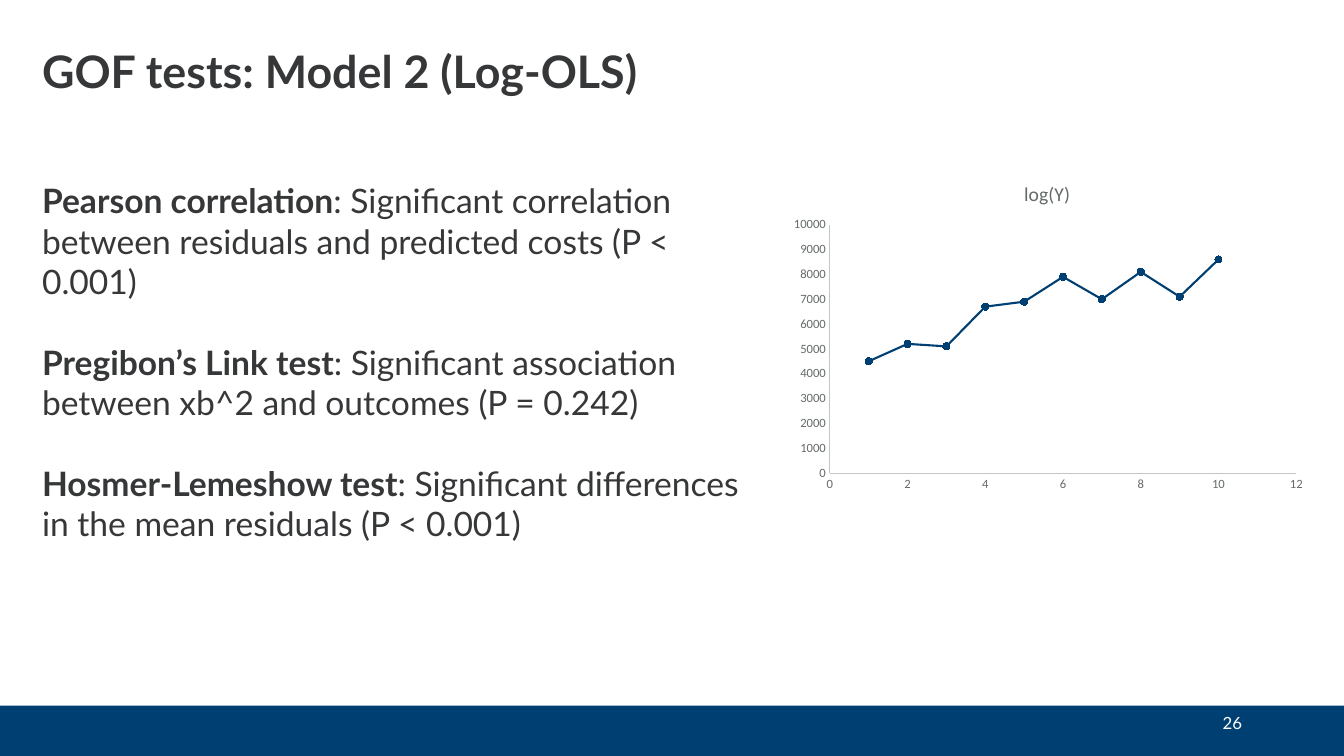
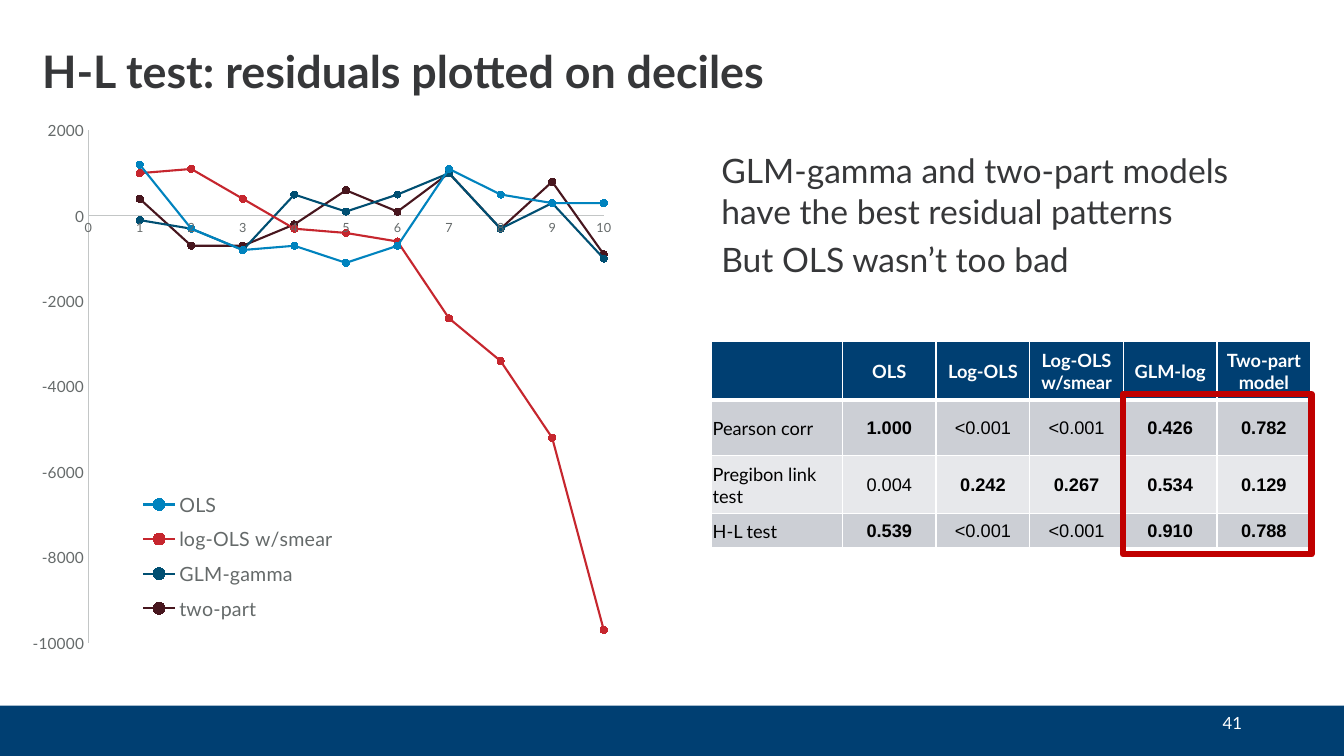
from dataclasses import dataclass

from lxml.etree import SubElement
from pptx import Presentation
from pptx.chart.chart import Chart
from pptx.chart.data import XyChartData
from pptx.dml.color import RGBColor
from pptx.enum.chart import XL_CHART_TYPE as ChartType
from pptx.enum.chart import XL_LEGEND_POSITION as LegendPosition
from pptx.enum.chart import XL_MARKER_STYLE as MarkerStyle
from pptx.enum.chart import XL_TICK_MARK as TickMark
from pptx.enum.shapes import MSO_SHAPE as Shape
from pptx.enum.text import MSO_ANCHOR as Anchor
from pptx.enum.text import PP_ALIGN as Align
from pptx.oxml import parse_xml
from pptx.oxml.ns import nsdecls, qn
from pptx.slide import Slide
from pptx.table import _Cell as Cell
from pptx.text.text import Font
from pptx.util import Cm, Pt

NAVY, INK, WHITE, BLACK = "003F72", "363739", "FFFFFF", "000000"
GRAY, AXIS_GRAY, RED = "656A6A", "C3C6C6", "C00000"
ROW_FILLS = ("CCCFD5", "E7E8EB")
LATO, ARIAL, CALIBRI = "Lato", "Arial", "Calibri"
SIGNIFICANCE = 0.05


@dataclass(frozen=True)
class Area:
    left: float
    top: float
    width: float
    height: float

    def lengths(self) -> tuple[Cm, Cm, Cm, Cm]:
        return Cm(self.left), Cm(self.top), Cm(self.width), Cm(self.height)


@dataclass(frozen=True)
class Piece:
    text: str
    bold: bool = False


@dataclass(frozen=True)
class Line:
    name: str
    color: str
    values: tuple[int, ...]


@dataclass(frozen=True)
class Scale:
    low: float
    high: float
    step: float
    size: float


BAND = Area(0, 17.78, 33.87, 1.27)
TITLE = Area(0.81, 0.81, 29.21, 2.11)
NUMBER = Area(23.93, 17.78, 7.62, 0.89)

TESTS = (
    ("Pearson correlation",
     ": Significant correlation between residuals and predicted costs (P < 0.001)"),
    ("Pregibon’s Link test",
     ": Significant association between xb^2 and outcomes (P = 0.242)"),
    ("Hosmer-Lemeshow test",
     ": Significant differences in the mean residuals (P < 0.001)"),
)
LOG_LINE = Line("log(Y)", NAVY, (4500, 5200, 5100, 6700, 6900, 7900, 7000, 8100, 7100, 8600))
RESIDUAL_LINES = (
    Line("OLS", "0083BE", (1200, -300, -800, -700, -1100, -700, 1100, 500, 300, 300)),
    Line("log-OLS w/smear", "C6262E",
         (1000, 1100, 400, -300, -400, -600, -2400, -3400, -5200, -9700)),
    Line("GLM-gamma", "004F72", (-100, -300, -800, 500, 100, 500, 1000, -300, 300, -1000)),
    Line("two-part", "47161E", (400, -700, -700, -200, 600, 100, 1000, -300, 800, -900)),
)
P_VALUES = (
    ("", "OLS", "Log-OLS", "Log-OLS w/smear", "GLM-log", "Two-part model"),
    ("Pearson corr", "1.000", "<0.001", "<0.001", "0.426", "0.782"),
    ("Pregibon link test", "0.004", "0.242", "0.267", "0.534", "0.129"),
    ("H-L test", "0.539", "<0.001", "<0.001", "0.910", "0.788"),
)
COLUMN_WIDTHS = (3.3,) + (2.36,) * 5
ROW_HEIGHTS = (1.47, 1.4, 1.47, 0.84)


def rgb(color: str) -> RGBColor:
    return RGBColor.from_string(color)


def style_font(font: Font, size: float, color: str, name: str = LATO, bold: bool = False) -> None:
    font.size = Pt(size)
    font.name = name
    font.bold = bold
    font.color.rgb = rgb(color)


def add_text(slide: Slide, area: Area, paragraphs: list[list[Piece]], size: float, color: str,
             anchor: Anchor = Anchor.TOP, align: Align = Align.LEFT,
             space_after: float = 0, line_spacing: float = 1.0) -> None:
    frame = slide.shapes.add_textbox(*area.lengths()).text_frame
    frame.word_wrap = True
    frame.vertical_anchor = anchor
    for index, pieces in enumerate(paragraphs):
        para = frame.add_paragraph() if index else frame.paragraphs[0]
        para.alignment = align
        para.space_after = Pt(space_after)
        para.line_spacing = line_spacing
        for piece in pieces:
            span = para.add_run()
            span.text = piece.text
            style_font(span.font, size, color, bold=piece.bold)


def add_rectangle(slide: Slide, area: Area, fill: str = "", line: str = "",
                  line_width: float = 0) -> None:
    box = slide.shapes.add_shape(Shape.RECTANGLE, *area.lengths())
    box.shadow.inherit = False
    if fill:
        box.fill.solid()
        box.fill.fore_color.rgb = rgb(fill)
    else:
        box.fill.background()
    if line:
        box.line.color.rgb = rgb(line)
        box.line.width = Pt(line_width)
    else:
        box.line.fill.background()


def add_page(deck: Presentation, title: str, number: int) -> Slide:
    page = deck.slides.add_slide(deck.slide_layouts[6])
    add_rectangle(page, BAND, fill=NAVY)
    add_text(page, TITLE, [[Piece(title, True)]], 32, INK, Anchor.MIDDLE, line_spacing=0.9)
    add_text(page, NUMBER, [[Piece(str(number))]], 12, WHITE, Anchor.MIDDLE, Align.RIGHT)
    return page


def place_part(parent, index: int, area: Area, inner: bool = False) -> None:
    for old in parent.findall(qn("c:layout")):
        parent.remove(old)
    target = '<c:layoutTarget val="inner"/>' if inner else ""
    parent.insert(index, parse_xml(
        f'<c:layout {nsdecls("c")}><c:manualLayout>{target}'
        '<c:xMode val="edge"/><c:yMode val="edge"/>'
        f'<c:x val="{area.left}"/><c:y val="{area.top}"/>'
        f'<c:w val="{area.width}"/><c:h val="{area.height}"/>'
        '</c:manualLayout></c:layout>'))


def add_scatter(slide: Slide, area: Area, plot_area: Area, lines: tuple[Line, ...],
                across: Scale, upward: Scale, font_name: str) -> Chart:
    data = XyChartData()
    for line in lines:
        entry = data.add_series(line.name)
        for decile, value in enumerate(line.values, start=1):
            entry.add_data_point(decile, value)
    chart = slide.shapes.add_chart(ChartType.XY_SCATTER_LINES, *area.lengths(), data).chart
    chart.has_title = False
    chart.has_legend = False
    style_font(chart.font, 10, "151616", CALIBRI)
    place_part(chart._chartSpace.chart.plotArea, 0, plot_area, inner=True)
    plot = chart.plots[0]
    plot.vary_by_categories = False
    for series, line in zip(plot.series, lines):
        series.smooth = False
        series.format.line.color.rgb = rgb(line.color)
        series.format.line.width = Pt(1.5)
        series.marker.style = MarkerStyle.CIRCLE
        series.marker.size = 5
        series.marker.format.fill.solid()
        series.marker.format.fill.fore_color.rgb = rgb(line.color)
        series.marker.format.line.color.rgb = rgb(line.color)
    for axis, scale in ((chart.category_axis, across), (chart.value_axis, upward)):
        axis.has_major_gridlines = False
        axis.major_tick_mark = axis.minor_tick_mark = TickMark.NONE
        axis.minimum_scale, axis.maximum_scale = scale.low, scale.high
        axis.major_unit = scale.step
        axis.format.line.color.rgb = rgb(AXIS_GRAY)
        axis.format.line.width = Pt(0.75)
        axis.tick_labels.number_format = "General"
        axis.tick_labels.number_format_is_linked = False
        style_font(axis.tick_labels.font, scale.size, GRAY, font_name)
    return chart


def set_borders(cell: Cell, top: float, bottom: float) -> None:
    properties = cell._tc.get_or_add_tcPr()
    for side, width in (("L", 1), ("R", 1), ("T", top), ("B", bottom)):
        border = SubElement(properties, qn(f"a:ln{side}"), w=str(Pt(width)))
        SubElement(SubElement(border, qn("a:solidFill")), qn("a:srgbClr"), val=WHITE)


def passes(value: str) -> bool:
    return not value.startswith("<") and float(value) > SIGNIFICANCE


def add_p_values(slide: Slide, left: float, top: float) -> None:
    area = Area(left, top, sum(COLUMN_WIDTHS), sum(ROW_HEIGHTS))
    table = slide.shapes.add_table(len(P_VALUES), len(COLUMN_WIDTHS), *area.lengths()).table
    for column, width in zip(table.columns, COLUMN_WIDTHS):
        column.width = Cm(width)
    for row_index, (row, height, values) in enumerate(zip(table.rows, ROW_HEIGHTS, P_VALUES)):
        row.height = Cm(height)
        header = row_index == 0
        for column_index, (cell, value) in enumerate(zip(row.cells, values)):
            label = column_index == 0
            set_borders(cell, 3 if row_index == 1 else 1, 3 if header else 1)
            cell.fill.solid()
            cell.fill.fore_color.rgb = rgb(NAVY if header else ROW_FILLS[(row_index - 1) % 2])
            cell.vertical_anchor = Anchor.MIDDLE
            cell.margin_left = cell.margin_right = cell.margin_top = Cm(0.03)
            cell.margin_bottom = Cm(0)
            cell.text_frame.text = value
            para = cell.text_frame.paragraphs[0]
            para.alignment = Align.LEFT if label else Align.CENTER
            for span in para.runs:
                style_font(span.font, 13, WHITE if header else BLACK,
                           LATO if header or label else ARIAL,
                           header or (not label and passes(value)))


def build_log_model(deck: Presentation) -> None:
    page = add_page(deck, "GOF tests: Model 2 (Log-OLS)", 26)
    findings = [[Piece(name, True), Piece(result)] for name, result in TESTS]
    add_text(page, Area(0.81, 4.42, 18.54, 8.46), findings, 24, INK, space_after=28.8)
    chart = add_scatter(page, Area(19.71, 4.14, 13.36, 8.46), Area(0.09, 0.18, 0.88, 0.74),
                        (LOG_LINE,), Scale(0, 12, 2, 9), Scale(0, 10000, 1000, 9), CALIBRI)
    chart.has_title = True
    chart.chart_title.include_in_layout = False
    chart.chart_title.text_frame.text = LOG_LINE.name
    style_font(chart.chart_title.text_frame.paragraphs[0].runs[0].font, 14, GRAY, CALIBRI)


def build_residuals(deck: Presentation) -> None:
    page = add_page(deck, "H-L test: residuals plotted on deciles", 41)
    chart = add_scatter(page, Area(0.56, 2.69, 15.11, 15.01), Area(0.11, 0.04, 0.86, 0.86),
                        RESIDUAL_LINES, Scale(0, 10, 1, 9), Scale(-10000, 2000, 2000, 11), LATO)
    chart.has_legend = True
    chart.legend.position = LegendPosition.BOTTOM
    chart.legend.include_in_layout = False
    style_font(chart.legend.font, 14, GRAY)
    place_part(chart.legend._element, 1, Area(0.19, 0.63, 0.34, 0.25))
    remarks = ["GLM-gamma and two-part models have the best residual patterns",
               "But OLS wasn’t too bad"]
    add_text(page, Area(17.93, 3.66, 14.25, 3.56), [[Piece(remark)] for remark in remarks],
             24, INK, space_after=6)
    add_p_values(page, 17.93, 8.61)
    add_rectangle(page, Area(28.3, 9.93, 4.75, 4.04), line=RED, line_width=4.5)


def main() -> None:
    deck = Presentation()
    deck.slide_width, deck.slide_height = Cm(33.87), Cm(19.05)
    build_log_model(deck)
    build_residuals(deck)
    deck.save("out.pptx")


if __name__ == "__main__":
    main()
